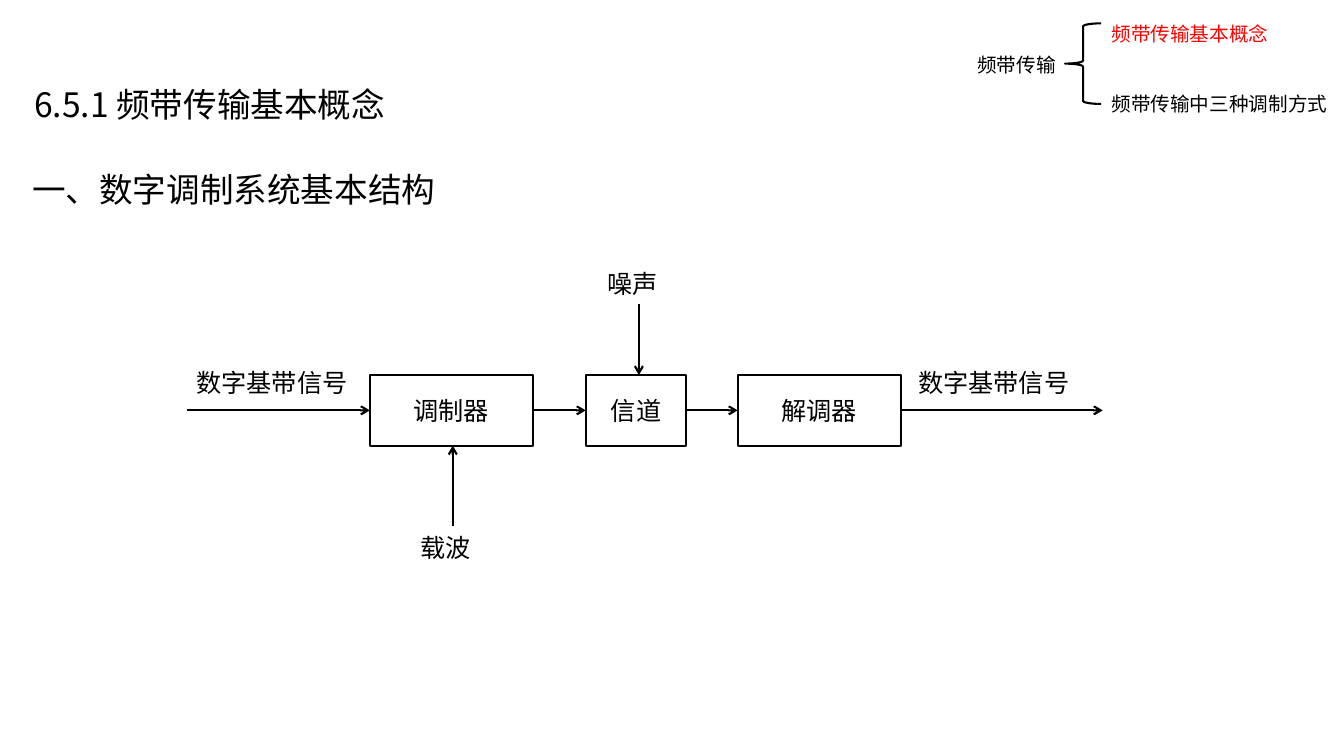
from lxml import etree
from pptx import Presentation
from pptx.dml.color import RGBColor
from pptx.enum.shapes import MSO_CONNECTOR, MSO_SHAPE
from pptx.enum.text import MSO_ANCHOR, MSO_AUTO_SIZE, PP_ALIGN
from pptx.oxml.ns import qn
from pptx.util import Cm, Pt

FONT = "Noto Sans CJK SC"
BLACK = "000000"
RED = "FF0000"
LINE_WIDTH = Pt(1.5)


def rgb(value):
    return RGBColor.from_string(value)


def style(p, size, color=BLACK, align=PP_ALIGN.LEFT, spacing=1.0):
    p.alignment = align
    p.line_spacing = spacing
    p.font.size = Pt(size)
    p.font.color.rgb = rgb(color)
    p.font.name = FONT
    props = p._p.pPr.find(qn("a:defRPr"))
    etree.SubElement(props, qn("a:ea")).set("typeface", FONT)


def add_text(s, x, y, w, h, text, size, spacing=1.0):
    tf = s.shapes.add_textbox(Cm(x), Cm(y), Cm(w), Cm(h)).text_frame
    tf.word_wrap = True
    p = tf.paragraphs[0]
    p.text = text
    style(p, size, spacing=spacing)
    return tf


def add_outline(s, kind, x, y, w, h):
    sp = s.shapes.add_shape(kind, Cm(x), Cm(y), Cm(w), Cm(h))
    sp.shadow.inherit = False
    sp.fill.background()
    sp.line.color.rgb = rgb(BLACK)
    sp.line.width = LINE_WIDTH
    return sp


def add_block(s, x, y, w, h, text):
    tf = add_outline(s, MSO_SHAPE.RECTANGLE, x, y, w, h).text_frame
    tf.vertical_anchor = MSO_ANCHOR.MIDDLE
    p = tf.paragraphs[0]
    p.text = text
    style(p, 18, align=PP_ALIGN.CENTER)


def add_arrow(s, x1, y1, x2, y2):
    c = s.shapes.add_connector(MSO_CONNECTOR.STRAIGHT,
                               Cm(x1), Cm(y1), Cm(x2), Cm(y2))
    c.line.color.rgb = rgb(BLACK)
    c.line.width = LINE_WIDTH
    etree.SubElement(c.line._get_or_add_ln(), qn("a:tailEnd")).set("type", "arrow")
    etree.SubElement(c._element.spPr, qn("a:effectLst"))


def add_headings(s, x, y, w):
    title = s.shapes.title
    title.left, title.top, title.width, title.height = Cm(x), Cm(y), Cm(10.31), Cm(2.64)
    tf = title.text_frame
    tf.auto_size = MSO_AUTO_SIZE.NONE
    tf.word_wrap = True
    tf.vertical_anchor = MSO_ANCHOR.MIDDLE
    tf.margin_left = tf.margin_right = Cm(0.3)
    tf.margin_top = tf.margin_bottom = Cm(0.15)
    p = tf.paragraphs[0]
    p.text = "6.5.1 频带传输基本概念"
    style(p, 24, spacing=1.5)
    add_text(s, x, y + 2.59, w, 1.63, "一、数字调制系统基本结构", 24, 1.5)


def add_outline_nav(s, x, y):
    """Topic, brace and its two subtopics, the current one in red."""
    add_text(s, x, y + 1.09, 4.01, 0.86, "频带传输", 14)
    add_outline(s, MSO_SHAPE.LEFT_BRACE, x + 2.46, y + 0.46, 0.91, 2.03)
    tf = add_text(s, x + 3.38, y, 6.1, 2.95, "频带传输基本概念", 14, 1.5)
    tf.paragraphs[0].font.color.rgb = rgb(RED)
    p = tf.add_paragraph()
    p.text = "频带传输中三种调制方式"
    style(p, 14, spacing=1.5)
    p.space_before = Pt(24.6)


def add_modulation_diagram(s, x, y, w):
    """Signal chain in a box of width w, from the noise label to the carrier label."""
    top, height = y + 2.82, 1.78
    middle, bottom = top + height / 2, top + height
    blocks = [("调制器", x + 4.62, 4.11), ("信道", x + 10.06, 2.54),
              ("解调器", x + 13.89, 4.11)]
    start = x
    for text, left, width in blocks:
        add_block(s, left, top, width, height, text)
        add_arrow(s, start, middle, left, middle)
        start = left + width
    add_arrow(s, start, middle, x + w, middle)

    noise_x, carrier_x = x + 11.4, x + 6.71
    add_arrow(s, noise_x, y + 1.02, noise_x, top)
    add_arrow(s, carrier_x, y + 6.63, carrier_x, bottom)

    labels = [("数字基带信号", x, y + 2.49), ("数字基带信号", x + 18.19, y + 2.49),
              ("噪声", noise_x - 1.04, y), ("载波", carrier_x - 1.07, y + 6.65)]
    for text, left, label_top in labels:
        add_text(s, left, label_top, 5.18, 1.02, text, 18)


def main():
    prs = Presentation()
    prs.slide_width, prs.slide_height = Cm(33.87), Cm(19.05)
    s = prs.slides.add_slide(prs.slide_layouts.get_by_name("Title Only"))
    add_modulation_diagram(s, 4.7, 6.63, 23.09)
    add_headings(s, 0.56, 1.04, 32.21)
    add_outline_nav(s, 24.38, 0.13)
    prs.save("out.pptx")


if __name__ == "__main__":
    main()
